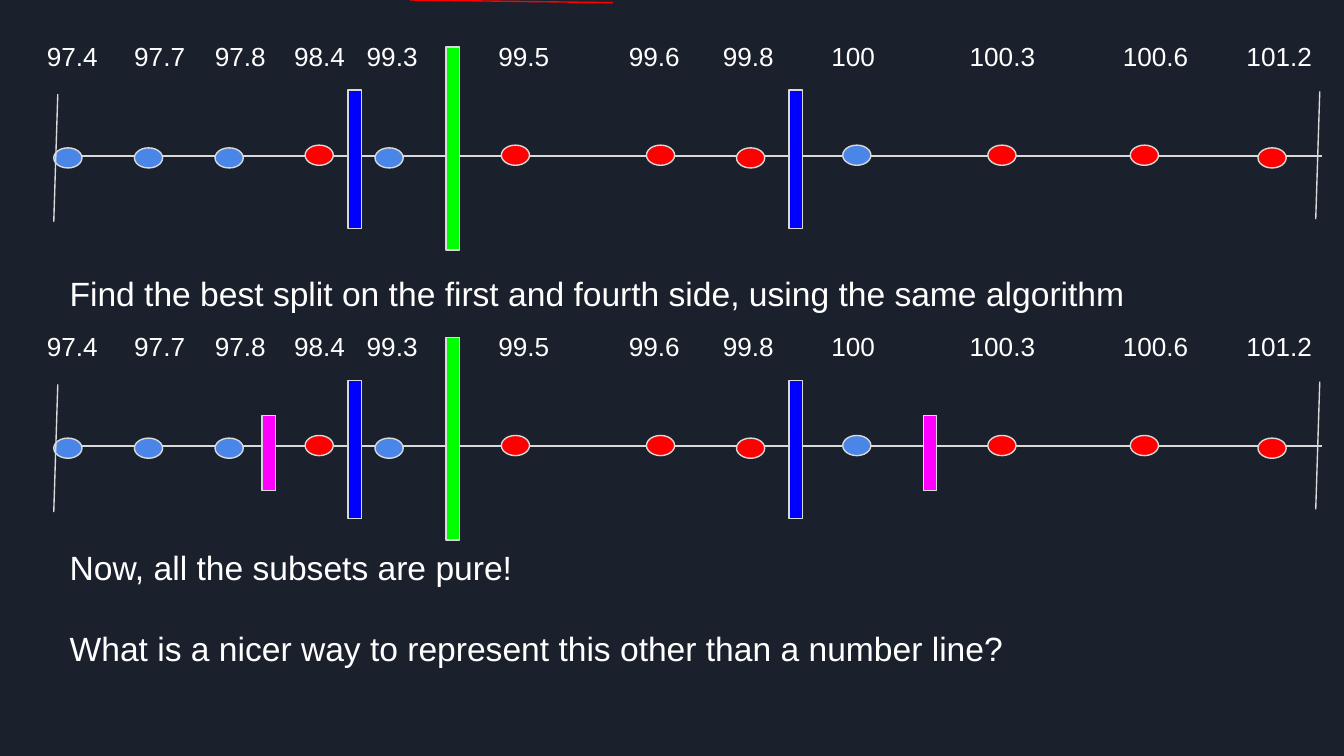
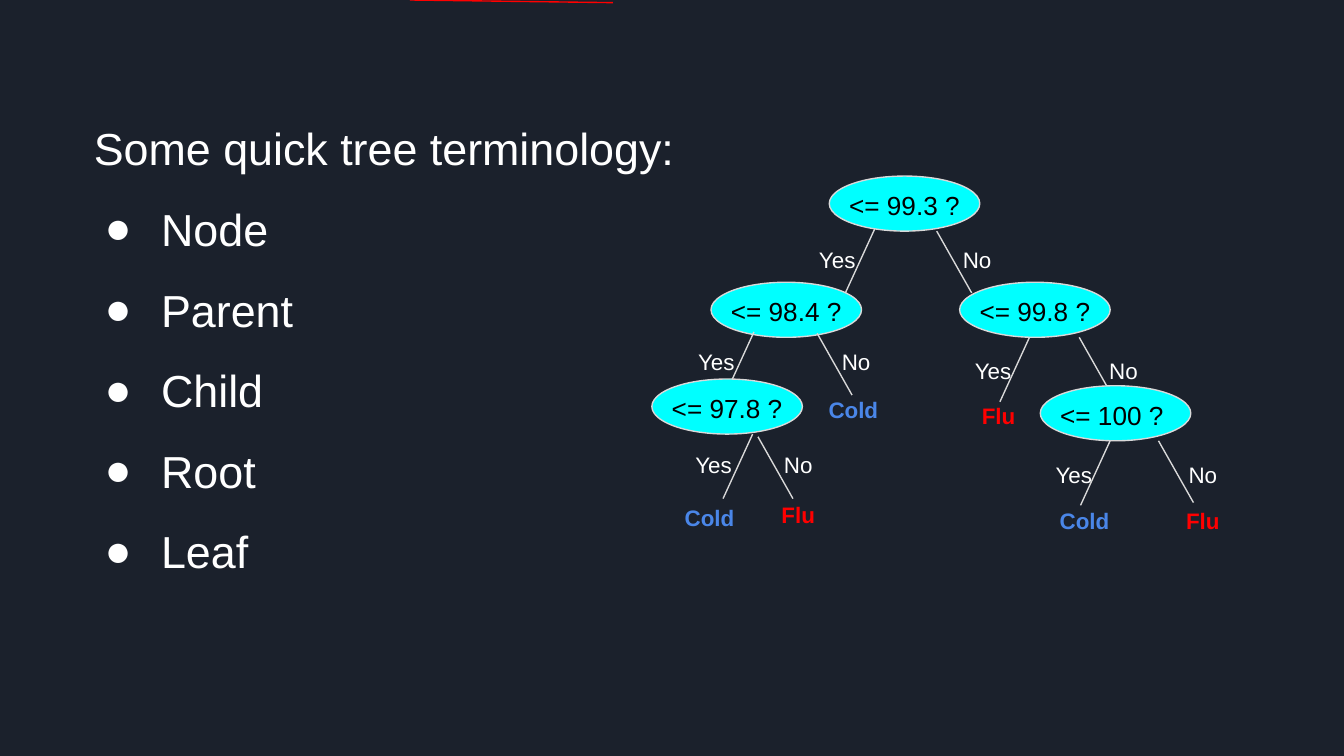
"""Build two slides: splitting a number line, and the vocabulary of decision trees."""
from dataclasses import dataclass
from typing import NamedTuple, Optional

import pptx
import pptx.dml.color
import pptx.enum.shapes
import pptx.enum.text
import pptx.oxml.ns
import pptx.presentation
import pptx.slide
import pptx.text.text
import pptx.util
from lxml import etree

Inches = pptx.util.Inches
Align = pptx.enum.text.PP_ALIGN
Preset = pptx.enum.shapes.MSO_SHAPE


@dataclass(frozen=True)
class Theme:
    font: str = "Arial"
    background: str = "1B212C"
    text: str = "FFFFFF"
    node_text: str = "000000"
    outline: str = "D9D9D9"
    accent: str = "FF0000"
    cold: str = "4A86E8"
    flu: str = "FF0000"
    node: str = "00FFFF"
    first_split: str = "00FF00"
    second_split: str = "0000FF"
    third_split: str = "FF00FF"
    heading_size: int = 24
    body_size: int = 18
    value_size: int = 14
    label_size: int = 12
    line_width: float = 0.75


THEME = Theme()


class Frame(NamedTuple):
    left: float
    top: float
    width: float
    height: float


class Point(NamedTuple):
    x: float
    y: float


class Style(NamedTuple):
    size: int
    color: str = THEME.text
    bold: Optional[bool] = None


class Reading(NamedTuple):
    value: str
    label_center: float
    dot_left: float
    dot_top: float
    color: str


class Split(NamedTuple):
    left: float
    top: float
    height: float
    color: str


class Node(NamedTuple):
    question: str
    left: float
    top: float
    yes_start: Point
    no_start: Point
    yes_left: float
    no_left: float
    label_top: float


class Leaf(NamedTuple):
    word: str
    left: float
    top: float
    color: str


BODY = Style(THEME.body_size)
VALUE = Style(THEME.value_size)
LABEL = Style(THEME.label_size)
HEADING = Style(THEME.heading_size)
QUESTION = Style(THEME.value_size, THEME.node_text)

SLIDE_WIDTH = Inches(10)
SLIDE_HEIGHT = SLIDE_WIDTH * 9 // 16
ROW_STEP = 2.16
AXIS_TOP = 1.16
DOT_HIGH, DOT_LOW = 1.08, 1.1
LABELS_LEFT, INSET = 0.09, 0.1

READINGS = [
    Reading("97.4", 0.54, 0.4, DOT_LOW, THEME.cold),
    Reading("97.7", 1.19, 1, DOT_LOW, THEME.cold),
    Reading("97.8", 1.79, 1.6, DOT_LOW, THEME.cold),
    Reading("98.4", 2.38, 2.27, DOT_HIGH, THEME.flu),
    Reading("99.3", 2.92, 2.79, DOT_LOW, THEME.cold),
    Reading("99.5", 3.9, 3.73, DOT_HIGH, THEME.flu),
    Reading("99.6", 4.87, 4.81, DOT_HIGH, THEME.flu),
    Reading("99.8", 5.57, 5.48, DOT_LOW, THEME.flu),
    Reading("100", 6.35, 6.27, DOT_HIGH, THEME.cold),
    Reading("100.3", 7.46, 7.35, DOT_HIGH, THEME.flu),
    Reading("100.6", 8.6, 8.41, DOT_HIGH, THEME.flu),
    Reading("101.2", 9.52, 9.36, DOT_LOW, THEME.flu),
]

TWO_LEVELS = [
    Split(3.32, 0.35, 1.51, THEME.first_split),
    Split(2.59, 0.67, 1.03, THEME.second_split),
    Split(5.87, 0.67, 1.03, THEME.second_split),
]
THREE_LEVELS = TWO_LEVELS + [
    Split(1.95, 0.93, 0.56, THEME.third_split),
    Split(6.87, 0.93, 0.56, THEME.third_split),
]

NODES = [
    Node("<= 99.3 ?", 6.17, 1.31, Point(6.51, 1.7), Point(6.97, 1.72), 5.9, 6.94, 1.73),
    Node("<= 98.4 ?", 5.29, 2.1, Point(5.61, 2.47), Point(6.08, 2.48), 5, 6.04, 2.49),
    Node("<= 97.8 ?", 4.85, 2.82, Point(5.6, 3.23), Point(5.64, 3.25), 4.98, 5.61, 3.26),
    Node("<= 99.8 ?", 7.14, 2.1, Point(7.66, 2.51), Point(8.03, 2.51), 7.06, 8.03, 2.56),
    Node("<= 100 ?", 7.74, 2.87, Point(8.26, 3.28), Point(8.62, 3.28), 7.66, 8.62, 3.33),
]

LEAVES = [
    Leaf("Cold", 4.95, 3.65, THEME.cold),
    Leaf("Cold", 6.02, 2.85, THEME.cold),
    Leaf("Cold", 7.74, 3.67, THEME.cold),
    Leaf("Flu", 5.61, 3.63, THEME.flu),
    Leaf("Flu", 7.1, 2.89, THEME.flu),
    Leaf("Flu", 8.62, 3.67, THEME.flu),
]

TERMS = ["Node", "Parent", "Child", "Root", "Leaf"]


def rgb(color: str) -> pptx.dml.color.RGBColor:
    return pptx.dml.color.RGBColor.from_string(color)


def apply(target: object, formats: dict) -> None:
    for name, value in formats.items():
        setattr(target, name, value)


def add_line(page: pptx.slide.Slide, start: Point, end: Point, color: str = THEME.outline) -> None:
    connector = page.shapes.add_connector(
        pptx.enum.shapes.MSO_CONNECTOR.STRAIGHT, *map(Inches, (*start, *end)))
    connector.line.color.rgb = rgb(color)
    connector.line.width = pptx.util.Pt(THEME.line_width)
    add_child(connector.element.spPr, "a:effectLst")


def add_figure(page: pptx.slide.Slide, preset: Preset, frame: Frame, color: str) -> None:
    shape = page.shapes.add_shape(preset, *map(Inches, frame))
    shape.shadow.inherit = False
    shape.fill.solid()
    shape.fill.fore_color.rgb = rgb(color)
    shape.line.color.rgb = rgb(THEME.outline)
    shape.line.width = pptx.util.Pt(THEME.line_width)


def add_text(page: pptx.slide.Slide, frame: Frame, lines: list[str], style: Style,
             **paragraph_formats: object) -> list:
    box = page.shapes.add_textbox(*map(Inches, frame))
    text_frame = box.text_frame
    sides = ("left", "top", "right", "bottom")
    apply(text_frame, {"word_wrap": True} | {f"margin_{side}": Inches(INSET) for side in sides})
    for index, line in enumerate(lines):
        para = text_frame.add_paragraph() if index else text_frame.paragraphs[0]
        apply(para, paragraph_formats)
        span = para.add_run()
        span.text = line
        apply(span.font, {"name": THEME.font, "size": pptx.util.Pt(style.size),
                          "bold": style.bold})
        span.font.color.rgb = rgb(style.color)
    return list(text_frame.paragraphs)


def add_child(parent: etree.ElementBase, tag: str, **attributes: str) -> etree.ElementBase:
    return etree.SubElement(parent, pptx.oxml.ns.qn(tag), attributes)


def add_bullet(para: pptx.text.text._Paragraph) -> None:
    properties = para._p.get_or_add_pPr()
    for name, value in {"marL": Inches(0.5), "indent": Inches(-0.42)}.items():
        properties.set(name, str(int(value)))
    add_child(add_child(properties, "a:buClr"), "a:srgbClr", val=THEME.text)
    add_child(properties, "a:buFont", typeface=THEME.font)
    add_child(properties, "a:buChar", char="●")


def add_value_labels(page: pptx.slide.Slide, top: float) -> None:
    text = "".join(f"\t{reading.value}" for reading in READINGS)
    para = add_text(page, Frame(LABELS_LEFT, top, 9.93, 0.2), [text], VALUE)[0]
    tabs = add_child(para._p.get_or_add_pPr(), "a:tabLst")
    for reading in READINGS:
        position = Inches(reading.label_center - LABELS_LEFT - INSET)
        add_child(tabs, "a:tab", pos=str(int(position)), algn="ctr")


def add_number_line(page: pptx.slide.Slide, shift: float, splits: list[Split]) -> None:
    add_line(page, Point(0.4, AXIS_TOP + shift), Point(9.84, AXIS_TOP + shift))
    for reading in READINGS:
        frame = Frame(reading.dot_left, reading.dot_top + shift, 0.21, 0.15)
        add_figure(page, Preset.OVAL, frame, reading.color)
    for left, top in ((0.4, 0.7), (9.79, 0.68)):
        add_line(page, Point(left + 0.03, top + shift), Point(left, top + 0.95 + shift))
    add_value_labels(page, 0.2 + shift)
    for split in splits:
        frame = Frame(split.left, split.top + shift, 0.1, split.height)
        add_figure(page, Preset.RECTANGLE, frame, split.color)


def add_label(page: pptx.slide.Slide, word: str, left: float, top: float, style: Style) -> None:
    add_text(page, Frame(left, top, 0.66, 0.37), [word], style, alignment=Align.CENTER)


def add_node(page: pptx.slide.Slide, node: Node) -> None:
    add_figure(page, Preset.OVAL, Frame(node.left, node.top, 1.12, 0.41), THEME.node)
    add_text(page, Frame(node.left + 0.05, node.top, 1.03, 0.41), [node.question], QUESTION)
    branches = (("Yes", node.yes_left, node.yes_start, Point(-0.22, 0.48)),
                ("No", node.no_left, node.no_start, Point(0.26, 0.46)))
    for word, left, start, reach in branches:
        add_line(page, start, Point(start.x + reach.x, start.y + reach.y))
        add_label(page, word, left, node.label_top, LABEL)


def add_page(deck: pptx.presentation.Presentation) -> pptx.slide.Slide:
    page = deck.slides.add_slide(deck.slide_layouts[6])
    add_line(page, Point(3.05, 0), Point(4.56, 0.02), THEME.accent)
    return page


def build_splits(deck: pptx.presentation.Presentation) -> None:
    page = add_page(deck)
    add_number_line(page, 0, TWO_LEVELS)
    add_text(page, Frame(0.42, 1.93, 9.34, 0.51),
             ["Find the best split on the first and fourth side, using the same algorithm"], BODY)
    add_number_line(page, ROW_STEP, THREE_LEVELS)
    closing = add_text(page, Frame(0.42, 3.97, 9.34, 1.51),
                       ["Now, all the subsets are pure!",
                        "What is a nicer way to represent this other than a number line?"], BODY)
    closing[1].space_before = pptx.util.Pt(22)


def build_terminology(deck: pptx.presentation.Presentation) -> None:
    page = add_page(deck)
    for node in NODES:
        add_node(page, node)
    for leaf in LEAVES:
        add_label(page, leaf.word, leaf.left, leaf.top, Style(THEME.label_size, leaf.color, True))
    paragraphs = add_text(page, Frame(0.6, 0.6, 6.99, 0.51),
                          ["Some quick tree terminology:", *TERMS], HEADING, line_spacing=1.5)
    for para in paragraphs[1:]:
        add_bullet(para)


def main() -> None:
    deck = pptx.Presentation()
    apply(deck, {"slide_width": SLIDE_WIDTH, "slide_height": SLIDE_HEIGHT})
    backdrop = deck.slide_master.background.fill
    backdrop.solid()
    backdrop.fore_color.rgb = rgb(THEME.background)
    build_splits(deck)
    build_terminology(deck)
    deck.save("out.pptx")


if __name__ == "__main__":
    main()
